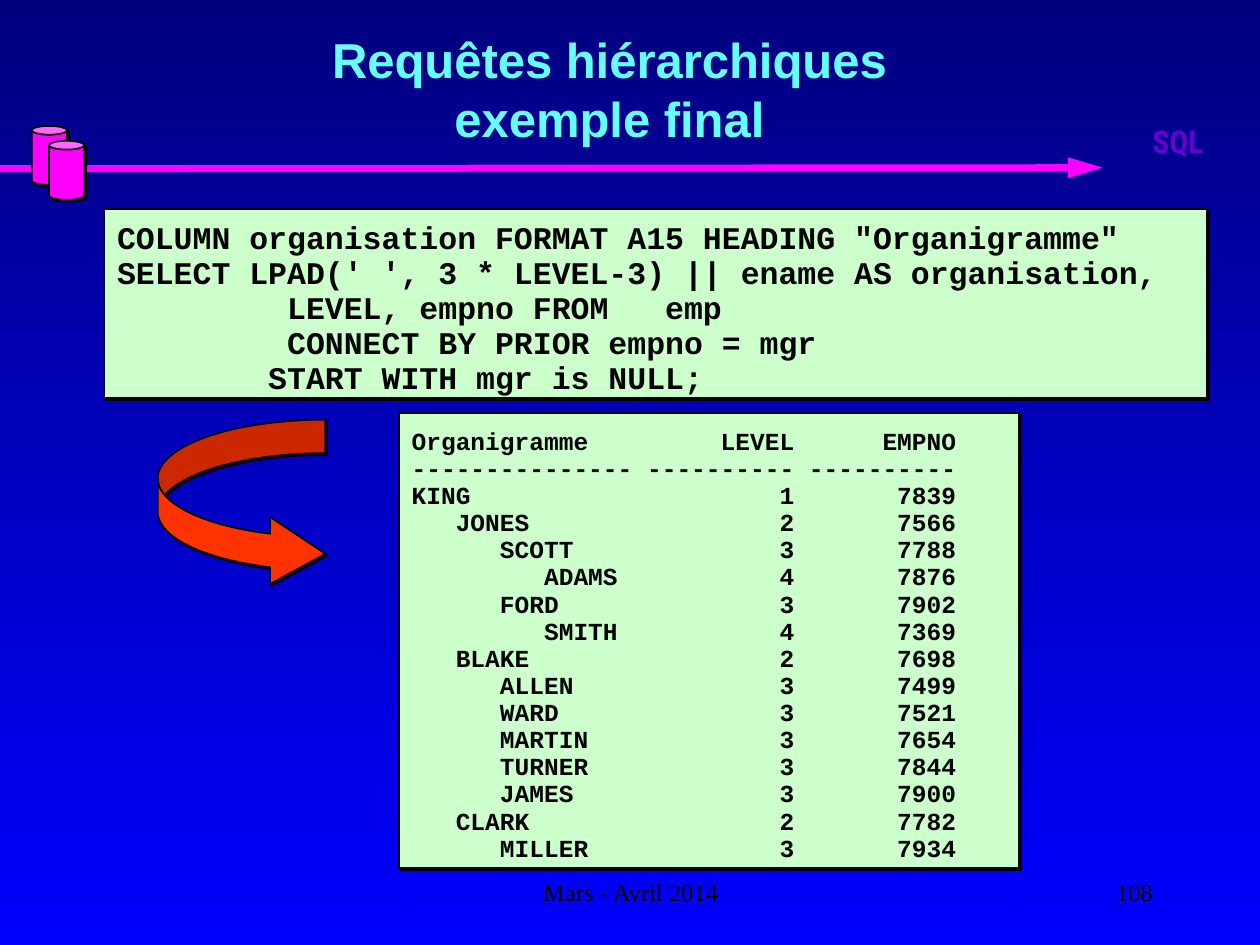
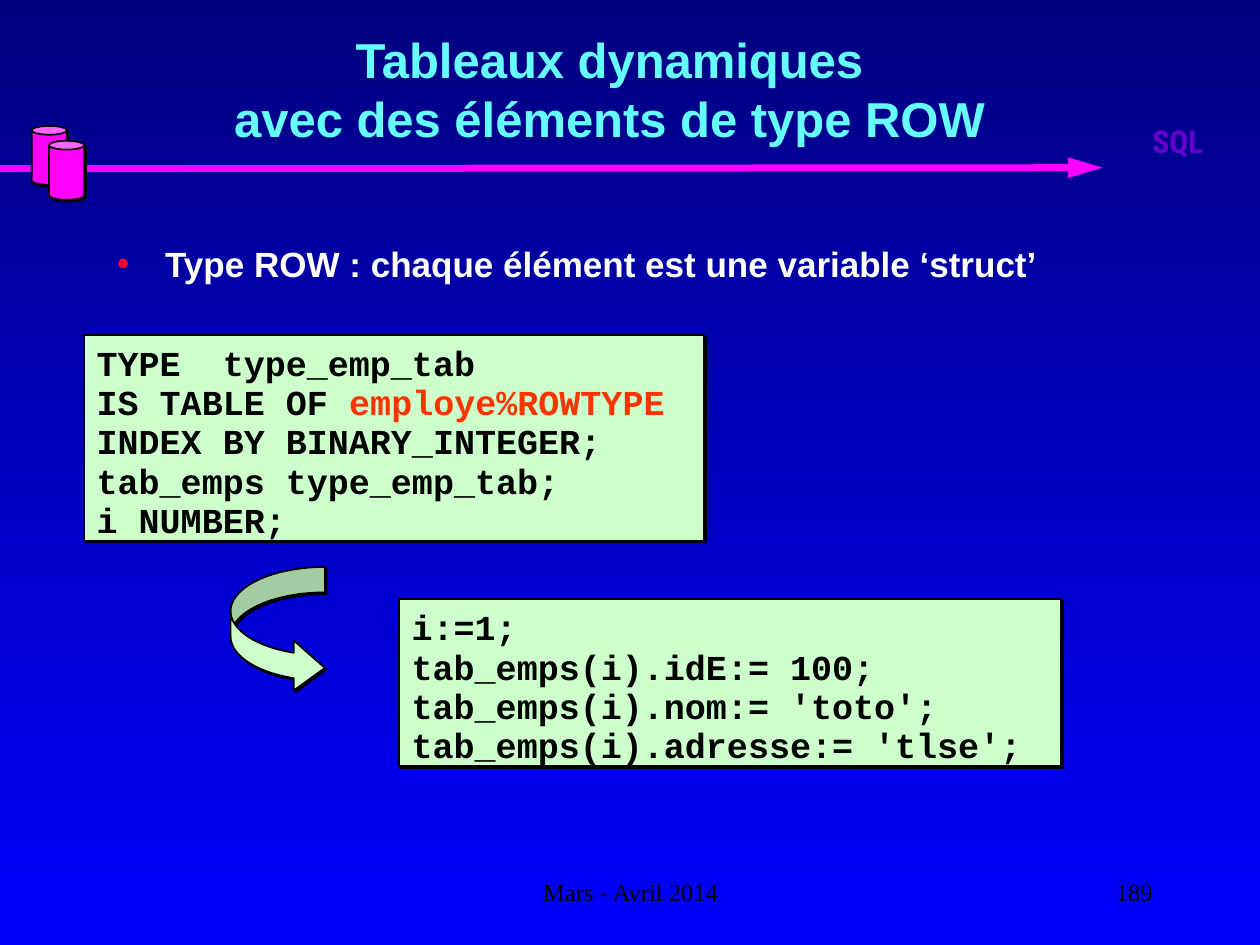
from lxml import etree
from pptx import Presentation
from pptx.dml.color import RGBColor
from pptx.enum import shapes, text
from pptx.oxml import ns
from pptx.util import Cm, Pt

HUES = {
    "night": "00007F", "blue": "0000FF", "pink": "FF00FF", "cyan": "66FFFF",
    "mint": "CCFFCC", "red": "FF3300", "dot": "FF0033", "plum": "6600CC",
    "black": "000000", "white": "FFFFFF",
}
RGB = {name: RGBColor.from_string(code) for name, code in HUES.items()}
KIND = shapes.MSO_SHAPE
LEFT, MID, RIGHT = text.PP_ALIGN.LEFT, text.PP_ALIGN.CENTER, text.PP_ALIGN.RIGHT


def write(shape, lines, size=14, font="Times New Roman", hue="black", bold=False,
          align=LEFT, pitch=None, hot=None, pad=(0.13, 0.13), anchor="MIDDLE"):
    frame = shape.text_frame
    frame.auto_size = text.MSO_AUTO_SIZE.NONE
    frame.word_wrap = True
    frame.vertical_anchor = getattr(text.MSO_ANCHOR, anchor)
    frame.margin_left = frame.margin_right = Cm(0.25)
    frame.margin_top, frame.margin_bottom = Cm(pad[0]), Cm(pad[1])
    for i, line in enumerate(lines):
        para = frame.add_paragraph() if i else frame.paragraphs[0]
        para.alignment = align
        para.space_before = para.space_after = Pt(0)
        if pitch:
            para.line_spacing = Pt(pitch)
        for part in filter(None, line.partition(hot) if hot else [line]):
            run = para.add_run()
            run.text = part
            run.font.name, run.font.size, run.font.bold = font, Pt(size), bold
            run.font.color.rgb = RGB["red" if part == hot else hue]


def draw(page, kind, area, hue, adjust=()):
    shape = page.shapes.add_shape(kind, *map(Cm, area))
    shape.shadow.inherit = False
    shape.fill.solid()
    shape.fill.fore_color.rgb = RGB[hue]
    shape.line.color.rgb = RGB["black"]
    shape.line.width = Pt(1)
    for i, value in enumerate(adjust):
        shape.adjustments[i] = value
    glow = shape._element.spPr.find(ns.qn("a:effectLst"))
    cast = etree.SubElement(glow, ns.qn("a:outerShdw"), blurRad="0",
                            dist=str(Pt(1.4)), dir="2700000", algn="ctr", rotWithShape="0")
    etree.SubElement(cast, ns.qn("a:srgbClr"), val=HUES["black"])
    return shape


staff = [
    ("KING", 1, 7839), ("JONES", 2, 7566), ("SCOTT", 3, 7788), ("ADAMS", 4, 7876),
    ("FORD", 3, 7902), ("SMITH", 4, 7369), ("BLAKE", 2, 7698), ("ALLEN", 3, 7499),
    ("WARD", 3, 7521), ("MARTIN", 3, 7654), ("TURNER", 3, 7844), ("JAMES", 3, 7900),
    ("CLARK", 2, 7782), ("MILLER", 3, 7934),
]
rows = [("Organigramme", "LEVEL", "EMPNO"), ("-" * 15, "-" * 10, "-" * 10)]
rows += [("   " * (level - 1) + name, level, number) for name, level, number in staff]
chart = [f"{name:<15} {level:>10} {number:>10}" for name, level, number in rows]

query = [
    'COLUMN organisation FORMAT A15 HEADING "Organigramme"',
    "SELECT LPAD(' ', 3 * LEVEL-3) || ename AS organisation,",
    "         LEVEL, empno FROM   emp",
    "         CONNECT BY PRIOR empno = mgr",
    "        START WITH mgr is NULL;",
]
types = [
    "TYPE  type_emp_tab",
    "IS TABLE OF employe%ROWTYPE",
    "INDEX BY BINARY_INTEGER;",
    "tab_emps type_emp_tab;",
    "i NUMBER;",
]
fills = [
    "i:=1;",
    "tab_emps(i).idE:= 100;",
    "tab_emps(i).nom:= 'toto';",
    "tab_emps(i).adresse:= 'tlse';",
]

pages = [
    {
        "title": ["Requêtes hiérarchiques", "exemple final"],
        "number": "108",
        "list": [],
        "code": [
            ((2.11, 4.22, 22.23, 3.81), query, 18, 20),
            ((8.05, 8.33, 12.5, 9.17), chart, 14, 15.5),
        ],
        "arrow": ((3.18, 8.46, 3.38, 3.38), "red", (0.2, 0.4, 0.33)),
    },
    {
        "title": ["Tableaux dynamiques", "avec des éléments de type ROW"],
        "number": "189",
        "list": ["Type ROW : chaque élément est une variable ‘struct’"],
        "code": [
            ((1.7, 6.76, 12.5, 4.14), types, 20, 22.3),
            ((8.05, 12.07, 13.34, 3.38), fills, 20, 22.3),
        ],
        "arrow": ((4.65, 11.43, 1.9, 2.54), "mint", (0.27, 0.53, 0.33)),
    },
]

deck = Presentation()
deck.slide_width, deck.slide_height = Cm(25.4), Cm(19.05)
back = deck.slide_master.background.fill
back.gradient()
back.gradient_angle = 270
for stop, hue in zip(back.gradient_stops, ("night", "blue")):
    stop.color.rgb = RGB[hue]

for data in pages:
    page = deck.slides.add_slide(deck.slide_layouts[1 if data["list"] else 5])

    rule = page.shapes.add_connector(shapes.MSO_CONNECTOR.STRAIGHT,
                                     Cm(0), Cm(3.4), Cm(22.23), Cm(3.38))
    rule.line.color.rgb = RGB["pink"]
    rule.line.width = Pt(4)
    etree.SubElement(rule.line._get_or_add_ln(), ns.qn("a:tailEnd"),
                     type="triangle", w="med", len="lg")
    etree.SubElement(rule._element.spPr, ns.qn("a:effectLst"))
    for left, top in ((0.64, 2.54), (0.99, 2.84)):
        draw(page, KIND.CAN, (left, top, 0.71, 1.19), "pink")

    tag = page.shapes.add_textbox(Cm(22.98), Cm(2.34), Cm(2.27), Cm(1.98))
    write(tag, ["SQL"], size=18, font="Roboto Condensed", hue="plum", bold=True,
          anchor="TOP")
    for left, width, word, align in ((8.69, 8.05, "Mars - Avril 2014", MID),
                                     (18.21, 5.28, data["number"], RIGHT)):
        foot = page.shapes.add_textbox(Cm(left), Cm(17.35), Cm(width), Cm(1.27))
        write(foot, [word], align=align)

    head = page.shapes.title
    head.left, head.top, head.width, head.height = map(Cm, (1.07, 0.2, 22.43, 3.18))
    write(head, data["title"], size=28, font="Arial", hue="cyan", bold=True,
          align=MID, pitch=33.7)

    if data["list"]:
        body = page.placeholders[1]
        body.left, body.top, body.width, body.height = map(Cm, (2.11, 4.75, 21.59, 11.43))
        for para in body.text_frame.paragraphs:
            props = para._p.get_or_add_pPr()
            props.set("marL", str(Cm(0.97)))
            props.set("indent", str(-Cm(0.97)))
            tint = etree.SubElement(props, ns.qn("a:buClr"))
            etree.SubElement(tint, ns.qn("a:srgbClr"), val=HUES["dot"])
            etree.SubElement(props, ns.qn("a:buChar"), char="•")
        write(body, data["list"], size=20, font="Arial", hue="white", bold=True,
              anchor="TOP")

    for area, lines, size, pitch in data["code"]:
        box = draw(page, KIND.RECTANGLE, area, "mint")
        write(box, lines, size=size, font="Courier New", bold=True, pitch=pitch,
              hot="employe%ROWTYPE", pad=(0.18, 0))

    area, hue, adjust = data["arrow"]
    draw(page, KIND.CURVED_RIGHT_ARROW, area, hue, adjust)

deck.save("out.pptx")
